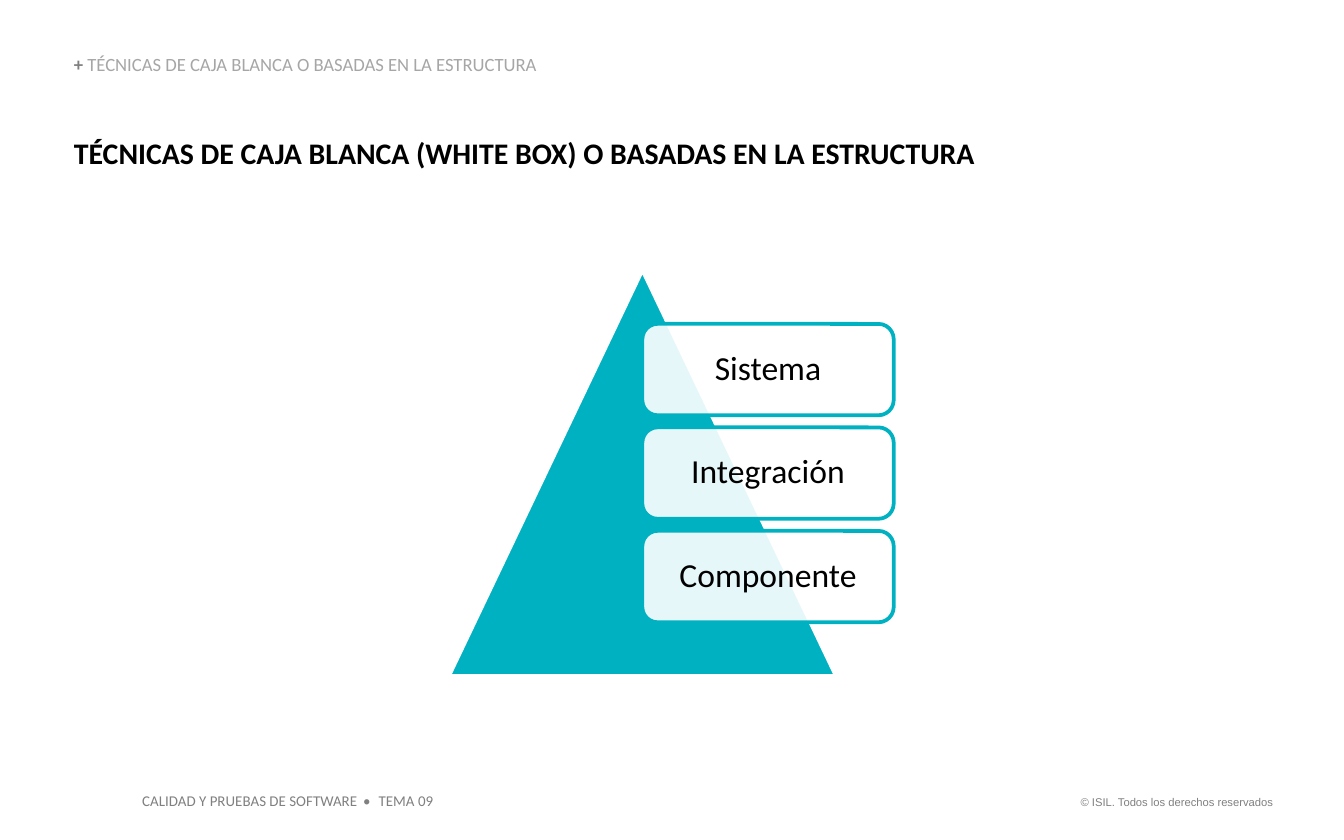
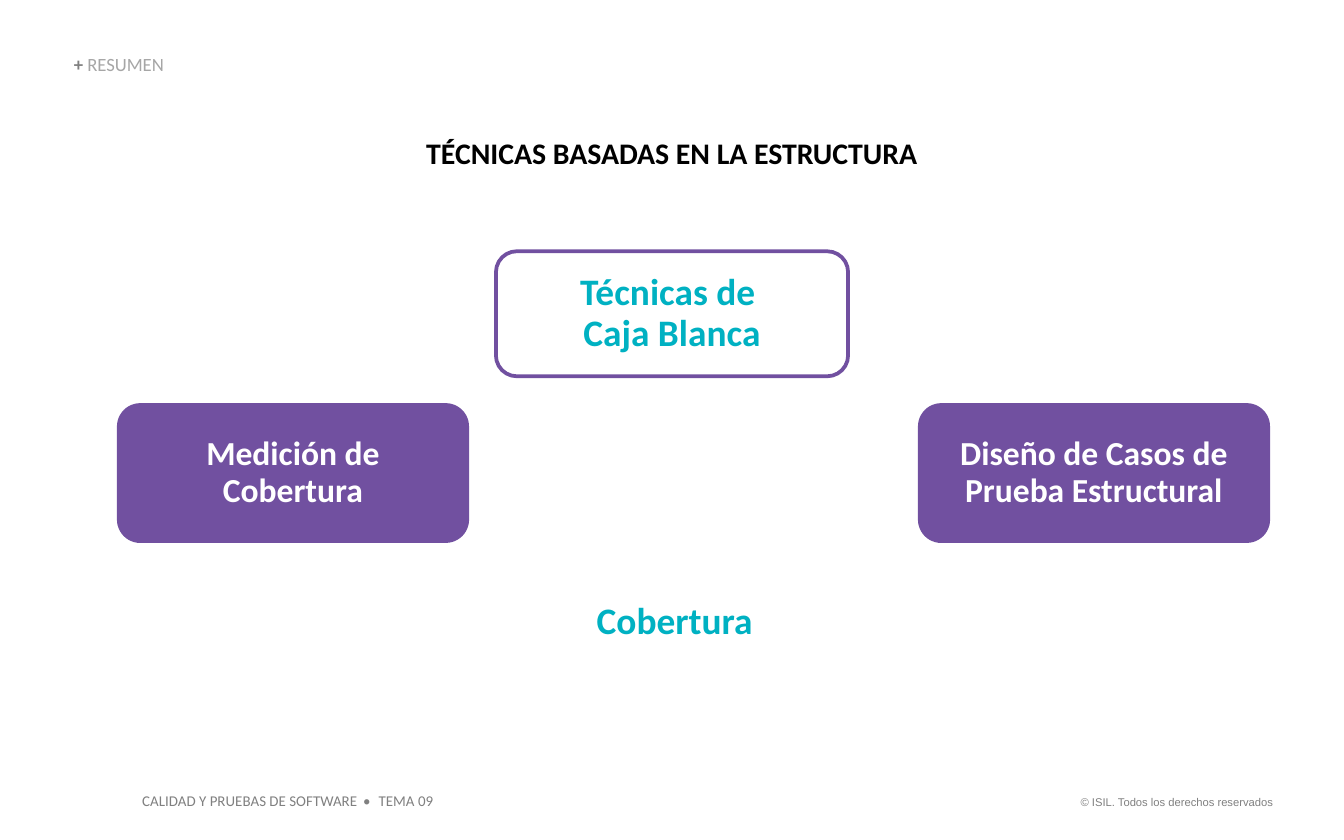
import pptx
import pptx.util
import pptx.dml.color
import pptx.enum.shapes
import pptx.enum.text
import pptx.oxml.ns
import lxml.etree

Inches, Pt = pptx.util.Inches, pptx.util.Pt
RGB = pptx.dml.color.RGBColor.from_string
qn = pptx.oxml.ns.qn
SHAPE = pptx.enum.shapes.MSO_SHAPE
ALIGN = pptx.enum.text.PP_ALIGN
ANCHOR = pptx.enum.text.MSO_ANCHOR
FIT = pptx.enum.text.MSO_AUTO_SIZE

# Content
RIGHTS = "© ISIL. Todos los derechos reservados"
COURSE = ["CALIDAD Y PRUEBAS DE SOFTWARE", " • ", "TEMA 09"]
LEVELS = ["Sistema", "Integración", "Componente"]
TOPIC = "Técnicas de \vCaja Blanca"
BRANCHES = ["Medición de Cobertura", "Diseño de Casos de Prueba Estructural"]
RESULT = "Cobertura"
PAGES = [
    ("TÉCNICAS DE CAJA BLANCA O BASADAS EN LA ESTRUCTURA",
     "TÉCNICAS DE CAJA BLANCA (WHITE BOX) O BASADAS EN LA ESTRUCTURA",
     ALIGN.LEFT),
    ("RESUMEN", "TÉCNICAS BASADAS EN LA ESTRUCTURA", ALIGN.CENTER),
]


# Theme
class Theme:
    face, legal = "Calibri", "Arial"
    teal, purple = "00B1C2", "7150A0"
    white, black = "FFFFFF", "000000"
    gray, pale = "808080", "A6A6A6"
    rights, course, crumb, title, label, topic = 6, 8, 10, 16, 18, 20
    edge, wide = 0.55, 8.9


def place(shape, x, y, w, h):
    shape.left, shape.top = Inches(x), Inches(y)
    shape.width, shape.height = Inches(w), Inches(h)


def style(font, size, color, bold=False, face=Theme.face):
    font.name, font.size, font.bold = face, Pt(size), bold
    font.color.rgb = RGB(color)


def bare(frame):
    frame.margin_left = frame.margin_right = 0
    frame.margin_top = frame.margin_bottom = 0
    frame.word_wrap, frame.auto_size = True, FIT.NONE


def write(shape, text, size, color, bold=False):
    frame = shape.text_frame
    frame.word_wrap = True
    para = frame.paragraphs[0]
    para.text, para.alignment, para.line_spacing = text, ALIGN.CENTER, 0.9
    style(para.font, size, color, bold)


def draw(slide, kind, box, fill, line=None, alpha=None):
    shape = slide.shapes.add_shape(kind, *map(Inches, box))
    shape.shadow.inherit = False
    shape.fill.solid()
    shape.fill.fore_color.rgb = RGB(fill)
    if alpha:
        tone = shape._element.spPr.find(".//" + qn("a:srgbClr"))
        lxml.etree.SubElement(tone, qn("a:alpha"), val=str(alpha * 1000))
    if line:
        shape.line.color.rgb = RGB(line)
        shape.line.width = Pt(2)
    else:
        shape.line.fill.background()
    return shape


def card(slide, text, box, fill, line, size, color, bold, alpha=None):
    shape = draw(slide, SHAPE.ROUNDED_RECTANGLE, box, fill, line, alpha)
    shape.text_frame.vertical_anchor = ANCHOR.MIDDLE
    write(shape, text, size, color, bold)


# Shared parts
def footers(slide, layout):
    """Build both footers, then hand them to the layout."""
    right = slide.shapes.add_textbox(*map(Inches, (7.88, 5.87, 1.69, 0.2)))
    para = right.text_frame.paragraphs[0]
    para.text, para.alignment = RIGHTS, ALIGN.RIGHT
    style(para.font, Theme.rights, Theme.gray, face=Theme.legal)

    left = slide.shapes.add_textbox(*map(Inches, (0.96, 5.84, 2.37, 0.24)))
    para = left.text_frame.paragraphs[0]
    for text in COURSE:
        run = para.add_run()
        run.text = text
    style(para.font, Theme.course, Theme.gray)
    # Widen the gaps around the dot
    para.runs[1]._r.get_or_add_rPr().set("spc", "120")

    for box in (right, left):
        box.text_frame.word_wrap = False
        layout.shapes._spTree.append(box._element)


def start(deck, layout, crumb, title, align):
    slide = deck.slides.add_slide(layout)
    head = slide.shapes.title
    place(head, Theme.edge, 1, Theme.wide, 0.27)
    bare(head.text_frame)
    head.text_frame.vertical_anchor = ANCHOR.TOP
    para = head.text_frame.paragraphs[0]
    para.text, para.alignment = title, align
    style(para.font, Theme.title, Theme.black, True)

    box = slide.shapes.add_textbox(*map(Inches, (Theme.edge, 0.41, 3.61, 0.15)))
    bare(box.text_frame)
    box.text_frame.vertical_anchor = ANCHOR.BOTTOM
    para = box.text_frame.paragraphs[0]
    para.line_spacing = 0.9
    for text, color, bold in (("+ ", Theme.gray, True), (crumb, Theme.pale, False)):
        run = para.add_run()
        run.text = text
        style(run.font, Theme.crumb, color, bold)
    return slide


# Slide bodies
def pyramid(slide):
    peak = draw(slide, SHAPE.ISOSCELES_TRIANGLE, (3.34, 2.01, 2.88, 3.02),
                Theme.teal, Theme.white)
    peak.adjustments[0] = 0.5
    for i, text in enumerate(LEVELS):
        card(slide, text, (4.78, 2.41 + i * 0.77, 1.87, 0.68), Theme.white,
             Theme.teal, Theme.label, Theme.black, False, alpha=90)


def summary(slide):
    wide = 2.62
    for x, text in zip((0.87, 6.83), BRANCHES):
        card(slide, text, (x, 3, wide, 1.04), Theme.purple, None,
             Theme.label, Theme.white, True)
    card(slide, TOPIC, (3.69, 1.87, wide, 0.93), Theme.white, Theme.purple,
         Theme.topic, Theme.teal, True)
    box = slide.shapes.add_textbox(*map(Inches, (4.16, 4.43, 1.72, 0.4)))
    write(box, RESULT, Theme.topic, Theme.teal, True)


def main():
    deck = pptx.Presentation()
    deck.slide_width, deck.slide_height = Inches(10), Inches(6.25)
    layout = deck.slide_layouts.get_by_name("Title Only")
    for page, body in zip(PAGES, (pyramid, summary)):
        body(start(deck, layout, *page))
    footers(deck.slides[0], layout)
    deck.save("out.pptx")


if __name__ == "__main__":
    main()
